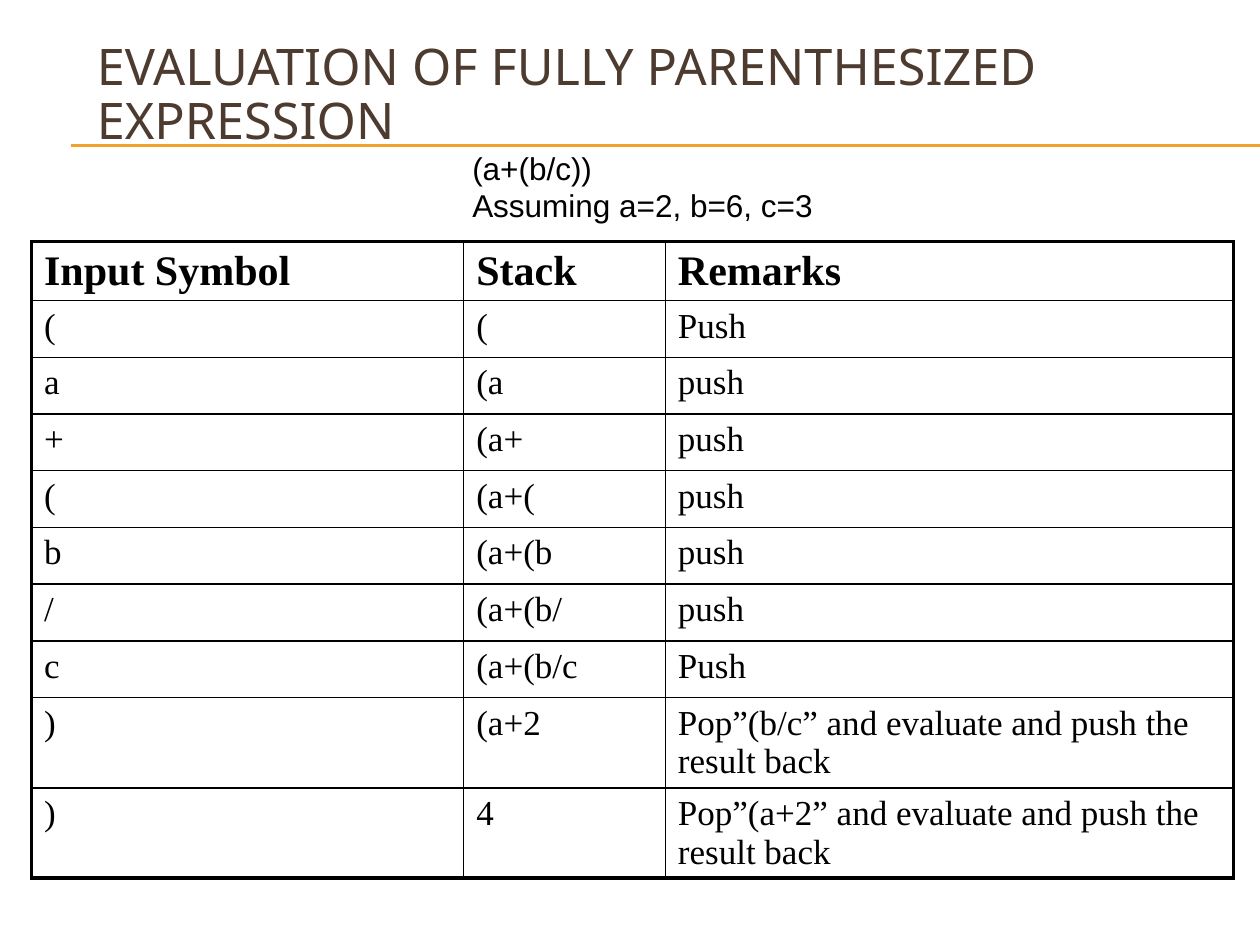
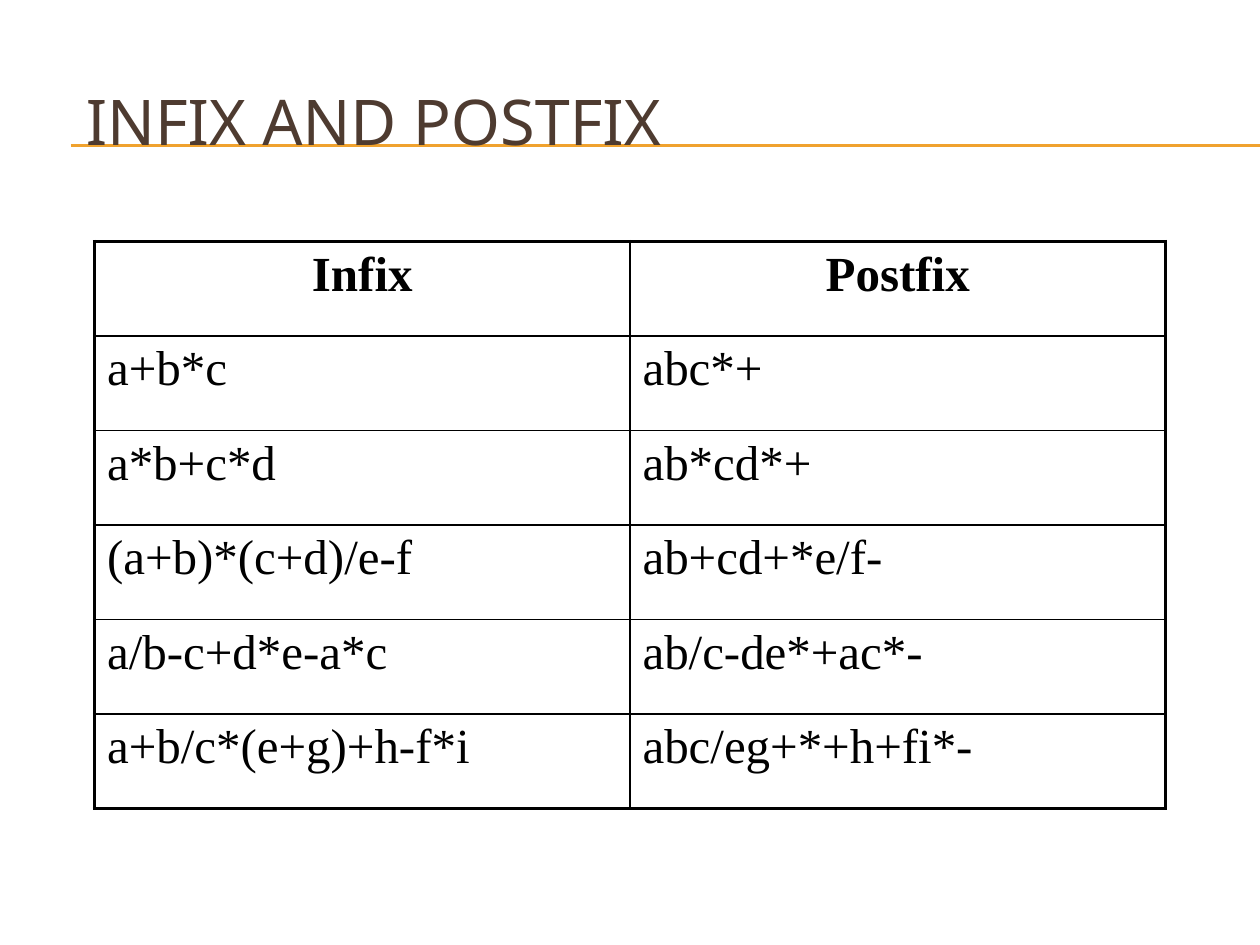
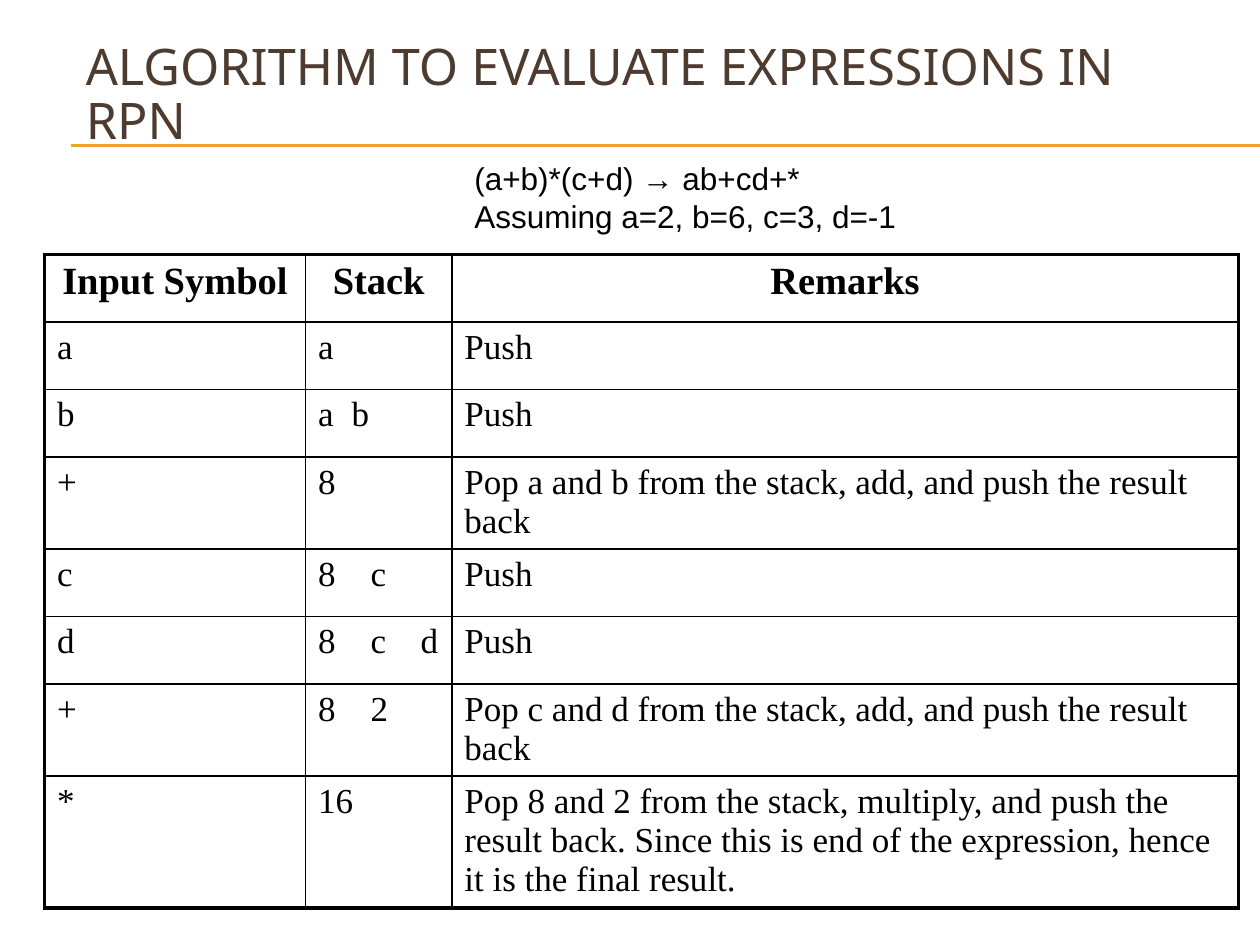
from lxml.etree import SubElement
from pptx import Presentation
from pptx.dml.color import RGBColor
from pptx.enum.shapes import MSO_CONNECTOR as Connector
from pptx.enum.text import MSO_ANCHOR as Anchor, PP_ALIGN as Align
from pptx.oxml.ns import qn
from pptx.util import Pt

BLACK = RGBColor(0x00, 0x00, 0x00)
BROWN = RGBColor(0x4E, 0x3B, 0x30)
ORANGE = RGBColor(0xF0, 0xA2, 0x2E)

# Content
RULE_LEFT, RULE_RIGHT = 40.5, 720
RULE_TOPS = (82.8, 82.8, 83.5)
THIN, THICK = 1, 2.25

SMALL_TITLE = {"size": 28.8, "spacing": 0.88, "bottom_inset": 19.2}
LARGE_TITLE = {"size": 36, "spacing": 1, "bottom_inset": 3.6}

SLIDES = [
    {
        "title": "EVALUATION OF FULLY PARENTHESIZED EXPRESSION",
        "title_at": (48.2, 18),
        "title_style": SMALL_TITLE,
        "note": "(a+(b/c))\nAssuming a=2, b=6, c=3",
        "note_at": (262.8, 81.4, 211, 51),
        "table_at": (18, 138),
        "columns": [247, 115.2, 324.8],
        "row_heights": [33.7] + [32.4] * 7 + [51.4] * 2,
        "header_size": 24,
        "body_size": 20,
        "header_align": Align.LEFT,
        "rows": [
            ("Input Symbol", "Stack", "Remarks"),
            ("(", "(", "Push"),
            ("a", "(a", "push"),
            ("+", "(a+", "push"),
            ("(", "(a+(", "push"),
            ("b", "(a+(b", "push"),
            ("/", "(a+(b/", "push"),
            ("c", "(a+(b/c", "Push"),
            (")", "(a+2", "Pop”(b/c” and evaluate and push the result back"),
            (")", "4", "Pop”(a+2” and evaluate and push the result back"),
        ],
    },
    {
        "title": "INFIX AND POSTFIX",
        "title_at": (41.8, 23.8),
        "title_style": LARGE_TITLE,
        "table_at": (54, 138),
        "columns": [306] * 2,
        "row_heights": [54] * 6,
        "header_size": 28,
        "body_size": 28,
        "header_align": Align.CENTER,
        "rows": [
            ("Infix", "Postfix"),
            ("a+b*c", "abc*+"),
            ("a*b+c*d", "ab*cd*+"),
            ("(a+b)*(c+d)/e-f", "ab+cd+*e/f-"),
            ("a/b-c+d*e-a*c", "ab/c-de*+ac*-"),
            ("a+b/c*(e+g)+h-f*i", "abc/eg+*+h+fi*-"),
        ],
    },
    {
        "title": "ALGORITHM TO EVALUATE EXPRESSIONS IN RPN",
        "title_at": (41.8, 18),
        "title_style": SMALL_TITLE,
        "note": "(a+b)*(c+d) → ab+cd+*\nAssuming a=2, b=6, c=3, d=-1",
        "note_at": (264, 87.4, 258, 51),
        "table_at": (25.4, 145.3),
        "columns": [149.2, 83.6, 449.4],
        "row_heights": [38.6] * 3 + [52.6] + [38.6] * 2 + [52.6, 75.4],
        "header_size": 22,
        "body_size": 20,
        "header_align": Align.CENTER,
        "rows": [
            ("Input Symbol", "Stack", "Remarks"),
            ("a", "a", "Push"),
            ("b", "a\tb", "Push"),
            ("+", "8", "Pop a and b from the stack, add, and push the result back"),
            ("c", "8\tc", "Push"),
            ("d", "8\tc\td", "Push"),
            ("+", "8\t2", "Pop c and d from the stack, add, and push the result back"),
            ("*", "16", "Pop 8 and 2 from the stack, multiply, and push the result back. "
             "Since this is end of the expression, hence it is the final result."),
        ],
    },
]

# Tab stops of the stack entries, by first symbol
STACK_STOPS = {"a": (19.2,), "8": (30, 58.6)}


def points(values):
    return [Pt(value) for value in values]


def format_font(font, name, size, color, bold=False):
    for key, value in {"name": name, "size": Pt(size), "bold": bold}.items():
        setattr(font, key, value)
    font.color.rgb = color


def move_rules_to_layout(slide, layout):
    """Draw the title rules and hand them to the shared layout."""
    for top in RULE_TOPS:
        rule = slide.shapes.add_connector(
            Connector.STRAIGHT, *points((RULE_LEFT, top, RULE_RIGHT, top)))
        rule.line.color.rgb = ORANGE
        rule.line.width = Pt(0.75)
        SubElement(rule.element.spPr, qn("a:effectLst"))
        layout.shapes.element.append(rule.element)


def set_title(slide, text, position, style):
    title = slide.shapes.title
    title.left, title.top, title.width, title.height = points((*position, 612, 90))
    frame = title.text_frame
    frame.text = text
    for key, value in {"word_wrap": True, "vertical_anchor": Anchor.MIDDLE,
                       "margin_bottom": Pt(style["bottom_inset"])}.items():
        setattr(frame, key, value)
    paragraph = frame.paragraphs[0]
    paragraph.alignment = Align.LEFT
    paragraph.line_spacing = style["spacing"]
    format_font(paragraph.runs[0].font, "Noto Sans", style["size"], BROWN)


def add_note(slide, text, box):
    frame = slide.shapes.add_textbox(*points(box)).text_frame
    frame.word_wrap = False
    frame.text = text
    for paragraph in frame.paragraphs:
        format_font(paragraph.runs[0].font, "Arial", 18, BLACK)


def set_borders(cell, widths):
    properties = cell._tc.get_or_add_tcPr()
    for side, width in widths.items():
        border = SubElement(properties, qn(f"a:ln{side}"), w=str(int(Pt(width))))
        fill = SubElement(border, qn("a:solidFill"))
        SubElement(fill, qn("a:srgbClr"), val=str(BLACK))


def set_tab_stops(paragraph, stops):
    tab_list = SubElement(paragraph._p.get_or_add_pPr(), qn("a:tabLst"))
    for stop in stops:
        SubElement(tab_list, qn("a:tab"), pos=str(int(Pt(stop))), algn="l")


def add_grid(slide, content):
    rows, columns, heights = (content[key] for key in ("rows", "columns", "row_heights"))
    last_row, last_column = len(rows) - 1, len(columns) - 1
    table = slide.shapes.add_table(
        len(rows), len(columns),
        *points((*content["table_at"], sum(columns), sum(heights)))).table
    table.first_row = table.horz_banding = False
    for column, width in zip(table.columns, columns):
        column.width = Pt(width)
    for row, height in zip(table.rows, heights):
        row.height = Pt(height)

    for r, row in enumerate(rows):
        header = r == 0
        size = content["header_size" if header else "body_size"]
        for c, text in enumerate(row):
            cell = table.cell(r, c)
            outer = {"L": c == 0, "R": c == last_column, "T": header, "B": r == last_row}
            set_borders(cell, {side: THICK if edge else THIN for side, edge in outer.items()})
            cell.fill.background()
            cell.text = text
            paragraph = cell.text_frame.paragraphs[0]
            paragraph.alignment = content["header_align"] if header else Align.LEFT
            if "\t" in text:
                set_tab_stops(paragraph, STACK_STOPS[text[0]])
            format_font(paragraph.runs[0].font, "Times New Roman", size, BLACK, header)


def main():
    presentation = Presentation()
    presentation.slide_width, presentation.slide_height = Pt(720), Pt(540)
    layout = presentation.slide_layouts[5]
    for number, content in enumerate(SLIDES):
        slide = presentation.slides.add_slide(layout)
        if number == 0:
            move_rules_to_layout(slide, layout)
        set_title(slide, content["title"], content["title_at"], content["title_style"])
        add_grid(slide, content)
        if "note" in content:
            add_note(slide, content["note"], content["note_at"])
    presentation.save("out.pptx")


if __name__ == "__main__":
    main()
